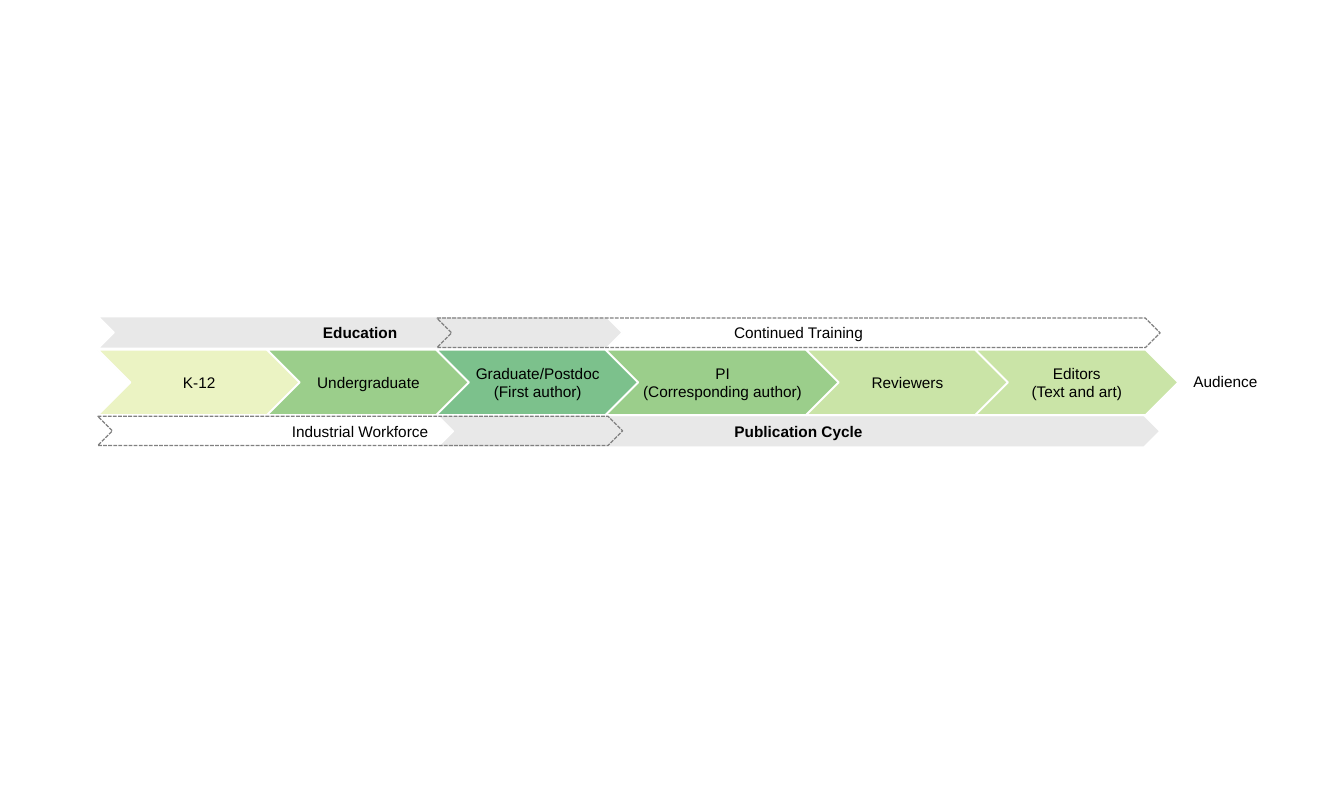
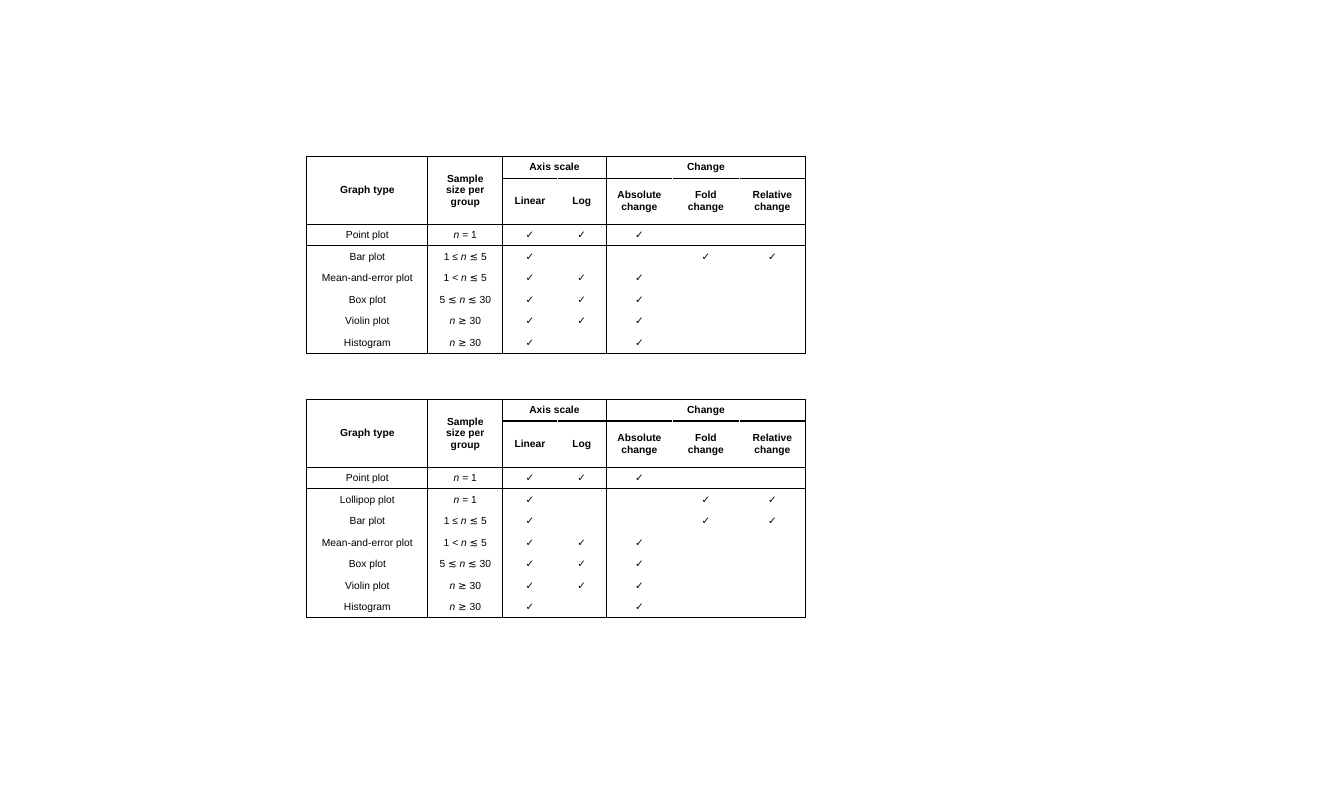
import lxml.etree
import pptx
import pptx.dml.color
import pptx.enum.dml
import pptx.enum.shapes
import pptx.enum.text
import pptx.oxml.ns
import pptx.util

Cm = pptx.util.Cm
Pt = pptx.util.Pt
qn = pptx.oxml.ns.qn

FONT = "Arial"
COLORS = {
    "text": "000000",
    "rule": "000000",
    "white": "FFFFFF",
    "band": "E8E8E8",
    "dash": "808080",
    "lime": "CEE26B",
    "leaf": "82C26E",
    "green": "5CB270",
    "moss": "A8D26D",
}

STAGE_WIDTH = 5.59
STAGE_OVERLAP = 0.93
STAGES = [
    (["K-12"], STAGE_WIDTH, "lime", 40),
    (["Undergraduate"], STAGE_WIDTH, "leaf", 80),
    (["Graduate/Postdoc", "(First author)"], STAGE_WIDTH, "green", 80),
    (["PI", "(Corresponding author)"], 6.45, "leaf", 80),
    (["Reviewers"], STAGE_WIDTH, "moss", 60),
    (["Editors", "(Text and art)"], STAGE_WIDTH, "moss", 60),
]
LEFT_SPAN = (2.69, 14.45)
RIGHT_SPAN = (12.03, 19.91)

NO_STYLE = "{2D5ABB26-0587-4C30-8999-92F81FD0307C}"
COLUMN_WIDTHS = [3.33, 2.06, 1.5, 1.35, 1.83, 1.83, 1.83]
ROW_HEIGHT = 0.57
SUBHEAD_HEIGHT = 1.21
OPEN_EDGES = {3, 5, 6}
HEADER = [
    ["Graph type", "Sample size per group", "Axis scale", "", "Change", "", ""],
    ["", "", "Linear", "Log", "Absolute change", "Fold change", "Relative change"],
]
MERGES = [((0, 0), (1, 0)), ((0, 1), (1, 1)), ((0, 2), (0, 3)), ((0, 4), (0, 6))]
POINT = ("Point plot", "n = 1", "11100")
LOLLIPOP = ("Lollipop plot", "n = 1", "10011")
OTHERS = [
    ("Bar plot", "1 ≤ n ≲ 5", "10011"),
    ("Mean-and-error plot", "1 < n ≲ 5", "11100"),
    ("Box plot", "5 ≲ n ≲ 30", "11100"),
    ("Violin plot", "n ≳ 30", "11100"),
    ("Histogram", "n ≳ 30", "10100"),
]


def rgb(name):
    return pptx.dml.color.RGBColor.from_string(COLORS[name])


def style_paragraph(p, size, bold=False):
    p.alignment = pptx.enum.text.PP_ALIGN.CENTER
    p.font.name = FONT
    p.font.size = Pt(size)
    p.font.bold = bold
    p.font.color.rgb = rgb("text")


def write_lines(tf, lines, bold=False):
    for i, line in enumerate(lines):
        p = tf.paragraphs[0] if i == 0 else tf.add_paragraph()
        p.add_run().text = line
        style_paragraph(p, 12, bold)


def add_chevron(slide, left, top, width, height, lines, fill=None, alpha=100, bold=False):
    sp = slide.shapes.add_shape(
        pptx.enum.shapes.MSO_SHAPE.CHEVRON, Cm(left), Cm(top), Cm(width), Cm(height))
    sp.shadow.inherit = False
    if fill:
        sp.fill.solid()
        sp.fill.fore_color.rgb = rgb(fill)
        if alpha < 100:
            clr = sp.fill._xPr.find(qn("a:solidFill"))[0]
            lxml.etree.SubElement(clr, qn("a:alpha"), val=str(alpha * 1000))
        sp.line.color.rgb = rgb("white")
        sp.line.width = Pt(1.5)
    else:
        sp.fill.background()
        sp.line.color.rgb = rgb("dash")
        sp.line.width = Pt(1)
        sp.line.dash_style = pptx.enum.dml.MSO_LINE.SQUARE_DOT
    tf = sp.text_frame
    tf.word_wrap = True
    tf.vertical_anchor = pptx.enum.text.MSO_ANCHOR.MIDDLE
    tf.margin_left = tf.margin_right = tf.margin_top = tf.margin_bottom = Cm(0.1)
    write_lines(tf, lines, bold)


def add_solid_band(slide, span, top, label):
    left, width = span
    add_chevron(slide, left, top, width, 0.89, [label], "band", bold=True)


def add_dashed_band(slide, span, top, label):
    left, width = span
    add_chevron(slide, left, top, width, 0.81, [label])


def add_label(slide, left, top, width, height, text):
    tf = slide.shapes.add_textbox(Cm(left), Cm(top), Cm(width), Cm(height)).text_frame
    tf.word_wrap = False
    tf.auto_size = pptx.enum.text.MSO_AUTO_SIZE.SHAPE_TO_FIT_TEXT
    write_lines(tf, [text])


def set_borders(cell, sides):
    tcPr = cell._tc.get_or_add_tcPr()
    present = [tag for tag in ("a:lnL", "a:lnR", "a:lnT", "a:lnB") if tag in sides]
    for i, tag in enumerate(present):
        ln = lxml.etree.Element(qn(tag), w=str(int(Pt(1))))
        fill = lxml.etree.SubElement(ln, qn("a:solidFill"))
        lxml.etree.SubElement(fill, qn("a:srgbClr"), val=COLORS[sides[tag]])
        tcPr.insert(i, ln)


def cell_borders(cell, row, col, last_row):
    def vertical(edge):
        return "white" if row > 0 and edge in OPEN_EDGES else "rule"

    sides = {"a:lnL": vertical(col), "a:lnR": vertical(col + cell.span_width)}
    if row <= 2:
        sides["a:lnT"] = "rule"
    if row <= 1 or row == last_row:
        sides["a:lnB"] = "rule"
    return sides


def fill_cell(cell, text, header, formula):
    cell.fill.background()
    cell.vertical_anchor = pptx.enum.text.MSO_ANCHOR.MIDDLE
    p = cell.text_frame.paragraphs[0]
    pieces = text.partition("n") if formula else [text]
    for piece in filter(None, pieces):
        r = p.add_run()
        r.text = piece
        if formula and piece == "n":
            r.font.italic = True
    style_paragraph(p, 8, header)
    if not text:
        lxml.etree.SubElement(p._p, qn("a:endParaRPr"), sz="800")


def add_plot_table(slide, left, top, plots):
    rows = HEADER + [
        [name, size] + ["✓" if mark == "1" else "" for mark in marks]
        for name, size, marks in plots
    ]
    heights = [ROW_HEIGHT, SUBHEAD_HEIGHT] + [ROW_HEIGHT] * len(plots)
    table = slide.shapes.add_table(
        len(rows), len(COLUMN_WIDTHS), Cm(left), Cm(top),
        Cm(sum(COLUMN_WIDTHS)), Cm(sum(heights))).table
    table.first_row = table.horz_banding = False
    table._tbl.tblPr.find(qn("a:tableStyleId")).text = NO_STYLE
    for column, width in zip(table.columns, COLUMN_WIDTHS):
        column.width = Cm(width)
    for row, height in zip(table.rows, heights):
        row.height = Cm(height)
    for start, end in MERGES:
        table.cell(*start).merge(table.cell(*end))
    for r, texts in enumerate(rows):
        for c, text in enumerate(texts):
            cell = table.cell(r, c)
            header = r < len(HEADER)
            fill_cell(cell, text, header, c == 1 and not header)
            if not cell.is_spanned:
                set_borders(cell, cell_borders(cell, r, c, len(rows) - 1))


def build_pipeline(slide):
    add_solid_band(slide, LEFT_SPAN, 8.71, "Education")
    add_solid_band(slide, RIGHT_SPAN, 11.43, "Publication Cycle")
    left = LEFT_SPAN[0]
    for lines, width, fill, alpha in STAGES:
        add_chevron(slide, left, 9.63, width, 1.8, lines, fill, alpha)
        left += width - STAGE_OVERLAP
    add_label(slide, 32.59, 10.13, 2.29, 0.77, "Audience")
    add_dashed_band(slide, RIGHT_SPAN, 8.76, "Continued Training")
    add_dashed_band(slide, LEFT_SPAN, 11.46, "Industrial Workforce")


def build_tables(slide):
    add_plot_table(slide, 8.45, 4.31, [POINT] + OTHERS)
    add_plot_table(slide, 8.45, 11.0, [POINT, LOLLIPOP] + OTHERS)


def main():
    prs = pptx.Presentation()
    prs.slide_width = Cm(37)
    prs.slide_height = Cm(22)
    for build in (build_pipeline, build_tables):
        build(prs.slides.add_slide(prs.slide_layouts[6]))
    prs.save("out.pptx")


if __name__ == "__main__":
    main()
